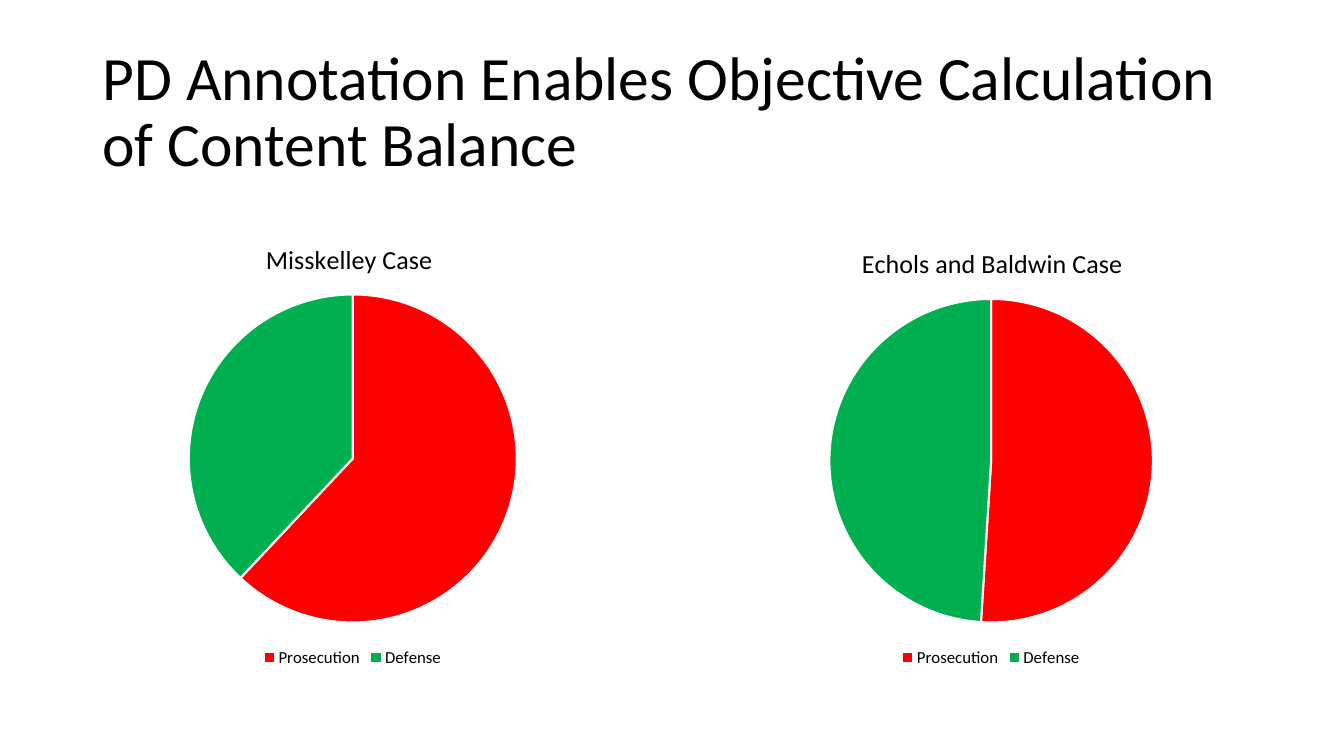
import pptx
import pptx.chart.data
import pptx.dml.color
import pptx.enum.chart
import pptx.enum.text
import pptx.oxml
import pptx.oxml.ns
import pptx.util

Pt = pptx.util.Pt
BLACK = pptx.dml.color.RGBColor(0x00, 0x00, 0x00)
WHITE = pptx.dml.color.RGBColor(0xFF, 0xFF, 0xFF)
RED = pptx.dml.color.RGBColor(0xFF, 0x00, 0x00)
GREEN = pptx.dml.color.RGBColor(0x00, 0xB0, 0x50)
FONT = "Calibri"


def style_font(font, size):
    font.name = FONT
    font.size = Pt(size)
    font.bold = False
    font.color.rgb = BLACK


def manual_layout(**fractions):
    """Build a c:layout element from fractions of the chart's size."""
    target = '<c:layoutTarget val="inner"/>' if "w" in fractions else ""
    modes = '<c:xMode val="edge"/><c:yMode val="edge"/>'
    values = "".join(f'<c:{name} val="{value}"/>' for name, value in fractions.items())
    return pptx.oxml.parse_xml(
        f'<c:layout {pptx.oxml.ns.nsdecls("c")}><c:manualLayout>'
        f"{target}{modes}{values}</c:manualLayout></c:layout>"
    )


deck = pptx.Presentation()
deck.slide_width = Pt(960)
deck.slide_height = Pt(540)
page = deck.slides.add_slide(deck.slide_layouts[5])

title = page.shapes.title
title.left, title.top, title.width, title.height = Pt(66), Pt(28.75), Pt(828), Pt(104.4)
title.text_frame.word_wrap = True
title.text_frame.auto_size = pptx.enum.text.MSO_AUTO_SIZE.NONE
title.text_frame.vertical_anchor = pptx.enum.text.MSO_ANCHOR.MIDDLE
para = title.text_frame.paragraphs[0]
para.alignment = pptx.enum.text.PP_ALIGN.LEFT
para.line_spacing = 0.9
span = para.add_run()
span.text = "PD Annotation Enables Objective Calculation of Content Balance"
style_font(span.font, 44)

# Case name, chart left, shares, heading place, pie place
cases = [
    ("Misskelley Case", 0, (62, 38),
     {"x": 0.37, "y": 0.03}, {"x": 0.26, "y": 0.16, "w": 0.48, "h": 0.73}),
    ("Echols and Baldwin Case", 456, (51, 49),
     {"x": 0.31, "y": 0.04}, {"x": 0.27, "y": 0.17, "w": 0.46, "h": 0.72}),
]

for case, left, shares, heading_place, pie_place in cases:
    data = pptx.chart.data.CategoryChartData()
    data.categories = ["Prosecution", "Defense"]
    data.add_series("Series 1", shares)
    frame = page.shapes.add_chart(
        pptx.enum.chart.XL_CHART_TYPE.PIE, Pt(left), Pt(159), Pt(504), Pt(321), data
    )
    chart = frame.chart
    style_font(chart.font, 10)

    chart.has_title = True
    span = chart.chart_title.text_frame.paragraphs[0].add_run()
    span.text = case
    style_font(span.font, 18.6)
    heading = chart.chart_title._element
    for layout in heading.findall(pptx.oxml.ns.qn("c:layout")):
        heading.remove(layout)
    heading.find(pptx.oxml.ns.qn("c:tx")).addnext(manual_layout(**heading_place))

    plot_area = chart.plots[0]._element.getparent()
    for layout in plot_area.findall(pptx.oxml.ns.qn("c:layout")):
        plot_area.remove(layout)
    plot_area.insert(0, manual_layout(**pie_place))

    chart.has_legend = True
    chart.legend.position = pptx.enum.chart.XL_LEGEND_POSITION.BOTTOM
    chart.legend.include_in_layout = False
    style_font(chart.legend.font, 12)

    chart.plots[0].vary_by_categories = True
    for index, colour in enumerate((RED, GREEN)):
        slice_format = chart.plots[0].series[0].points[index].format
        slice_format.fill.solid()
        slice_format.fill.fore_color.rgb = colour
        slice_format.line.color.rgb = WHITE
        slice_format.line.width = Pt(1.5)

deck.save("out.pptx")
